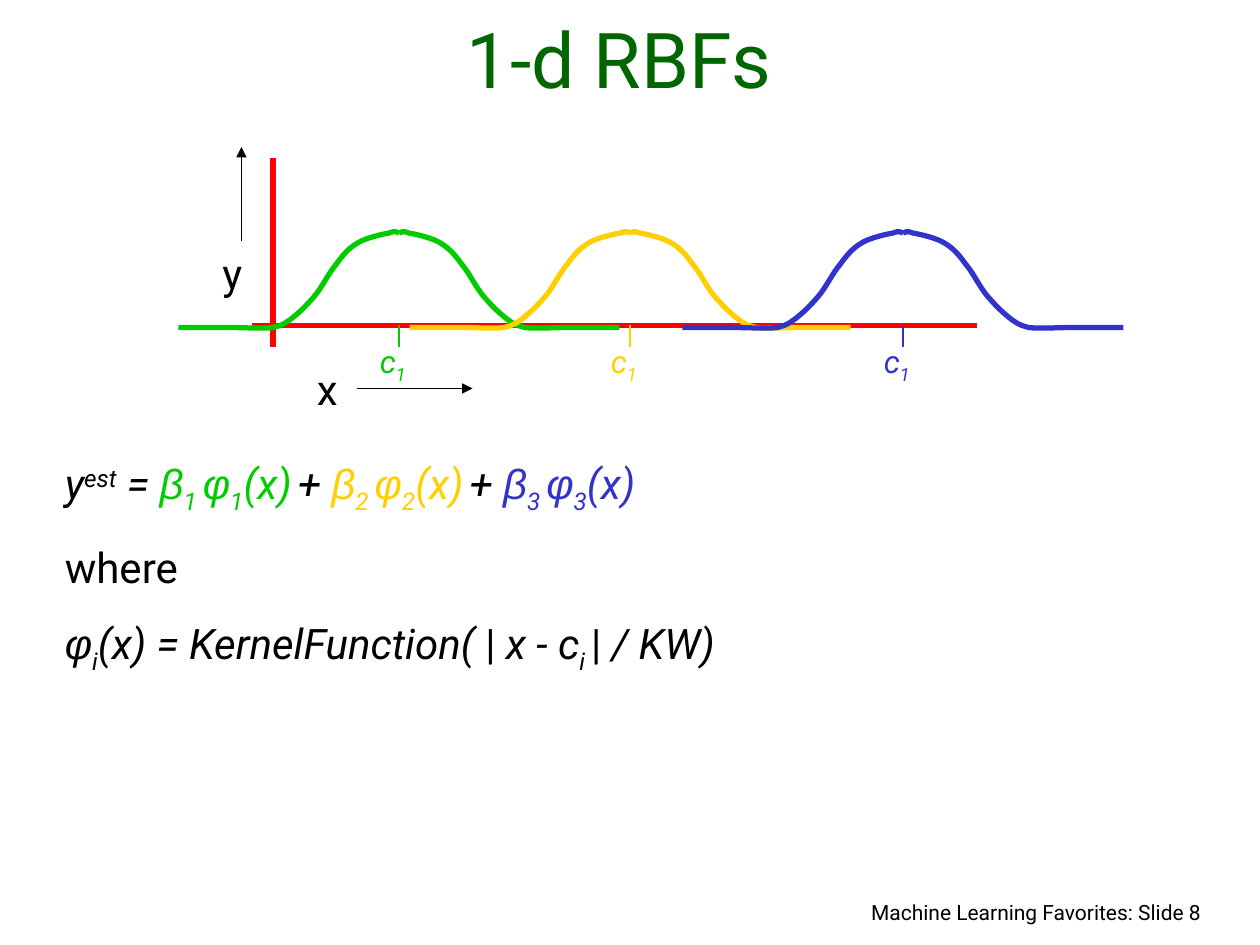
"""Build a slide on one-dimensional radial basis functions."""
from lxml.etree import SubElement
from pptx import Presentation
from pptx.dml.color import RGBColor
from pptx.enum.shapes import MSO_CONNECTOR
from pptx.enum.text import MSO_ANCHOR, PP_ALIGN
from pptx.oxml.ns import qn
from pptx.util import Inches, Pt

HUES = {"black": "000000", "title": "006600", "axis": "FF0000",
        "green": "00CC00", "gold": "FFCF01", "blue": "3333CC"}
BASES = {"^": "30000", "_": "-25000"}
GRID = 12

deck = Presentation()
deck.slide_width, deck.slide_height = Inches(10), Inches(7.5)
slide = deck.slides.add_slide(deck.slide_layouts[6])


def write(place, rows, size, gap=0, align=PP_ALIGN.LEFT):
    """Add a text box, placed in grid units, with runs of (text, hue, style)."""
    box = slide.shapes.add_textbox(*[Inches(n / GRID) for n in place])
    frame = box.text_frame
    frame.word_wrap = True
    for index, row in enumerate(rows):
        para = frame.add_paragraph() if index else frame.paragraphs[0]
        para.alignment, para.space_before = align, Pt(gap)
        for text, hue, style in row:
            run = para.add_run()
            run.text = text
            font = run.font
            font.name = "Arial" if text in "βφ" else "Roboto"
            font.size, font.italic = Pt(size), "i" in style
            font.color.rgb = RGBColor.from_string(HUES[hue])
            for mark in BASES:
                if mark in style:
                    run._r.get_or_add_rPr().set("baseline", BASES[mark])
    return frame


def draw(start, end, hue, width, arrow=False):
    """Add a straight line in grid units, with an arrowhead if wanted."""
    line = slide.shapes.add_connector(
        MSO_CONNECTOR.STRAIGHT, *[Inches(n / GRID) for n in start + end])
    line.line.color.rgb = RGBColor.from_string(HUES[hue])
    line.line.width = Pt(width)
    if arrow:
        SubElement(line.line._get_or_add_ln(), qn("a:tailEnd"), type="triangle")
    SubElement(line._element.spPr, qn("a:effectLst"))


write((68.6, 85.1, 47, 4),
      [[("Machine Learning Favorites: Slide 8", "black", "")]],
      12, 7.5, PP_ALIGN.RIGHT)
title = write((3, 2, 112, 8.5), [[("1-d RBFs", "title", "")]],
              44, align=PP_ALIGN.CENTER)
title.vertical_anchor = MSO_ANCHOR.BOTTOM

bells = [("green", 38), ("gold", 60), ("blue", 86)]
total = [("y", "black", "i"), ("est", "black", "i^"), (" = ", "black", "i")]
for num, (hue, mid) in enumerate(bells, 1):
    total += [("β", hue, "i"), (f"{num} ", hue, "i_"), ("φ", hue, "i"),
              (str(num), hue, "i_"), ("(x)", hue, "i")]
    if num < len(bells):
        total += [(" ", hue, "i_"), ("+ ", "black", "i")]
kernel = [("φ", "black", "i"), ("i", "black", "i_"),
          ("(x) = KernelFunction( ", "black", "i"), ("| ", "black", ""),
          ("x - c", "black", "i"), ("i ", "black", "i_"),
          ("|", "black", ""), (" / KW)", "black", "i")]
write((5, 43, 103, 22), [total, [("where", "black", "")], kernel], 24, 15)

draw((26, 15), (26, 33), "axis", 3)
draw((93, 31), (24, 31), "axis", 3)

knots = [(1.75, 2.6), (1.61, 2.6), (1.46, 2.6), (1.33, 2.6),
         (1.21, 2.6), (1.09, 2.61), (1, 2.6),
         (0.92, 2.58), (0.89, 2.56), (0.83, 2.51),
         (0.78, 2.47), (0.73, 2.42), (0.67, 2.35),
         (0.61, 2.28), (0.56, 2.17), (0.5, 2.1),
         (0.45, 2.03), (0.4, 1.97), (0.33, 1.93),
         (0.27, 1.89), (0.14, 1.86), (0.08, 1.85),
         (0.03, 1.83), (0.02, 1.84), (0, 1.85)]
for hue, mid in bells:
    for side in (-1, 1):
        spots = [(Inches(mid / GRID + side * x), Inches(y)) for x, y in knots]
        pen = slide.shapes.build_freeform(*spots[0])
        pen.add_line_segments(spots[1:], close=False)
        half = pen.convert_to_shape()
        half.shadow.inherit = False
        half.fill.background()
        half.line.color.rgb = RGBColor.from_string(HUES[hue])
        half.line.width = Pt(3)
        trace = next(half._element.iter(qn("a:path")))
        legs = trace.findall(qn("a:lnTo"))
        for first in range(0, len(legs), 3):
            bend = SubElement(trace, qn("a:cubicBezTo"))
            for leg in legs[first:first + 3]:
                bend.append(leg[0])
                trace.remove(leg)

write((29, 34, 4, 6), [[("x", "black", "")]], 24, 15)
draw((34, 37), (45, 37), "black", 0.75, True)
write((20, 23, 8, 6), [[("y", "black", "")]], 24, 15)
draw((23, 23), (23, 14), "black", 0.75, True)

for hue, mid in bells:
    write((mid - 3, 32, 5, 5.3),
          [[("c", hue, "i"), ("1", hue, "i_")]], 18, 11.2)
    draw((mid, 31), (mid, 33), hue, 1.5)

deck.save("out.pptx")
